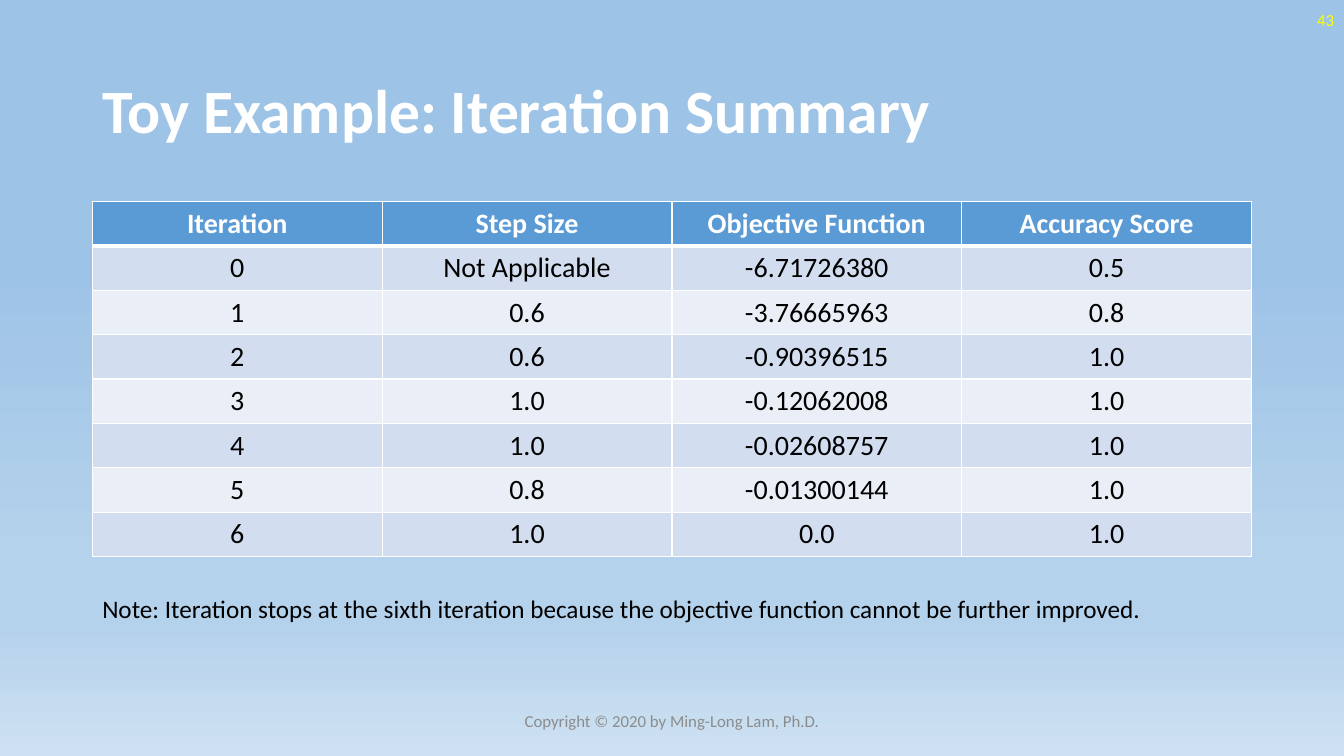
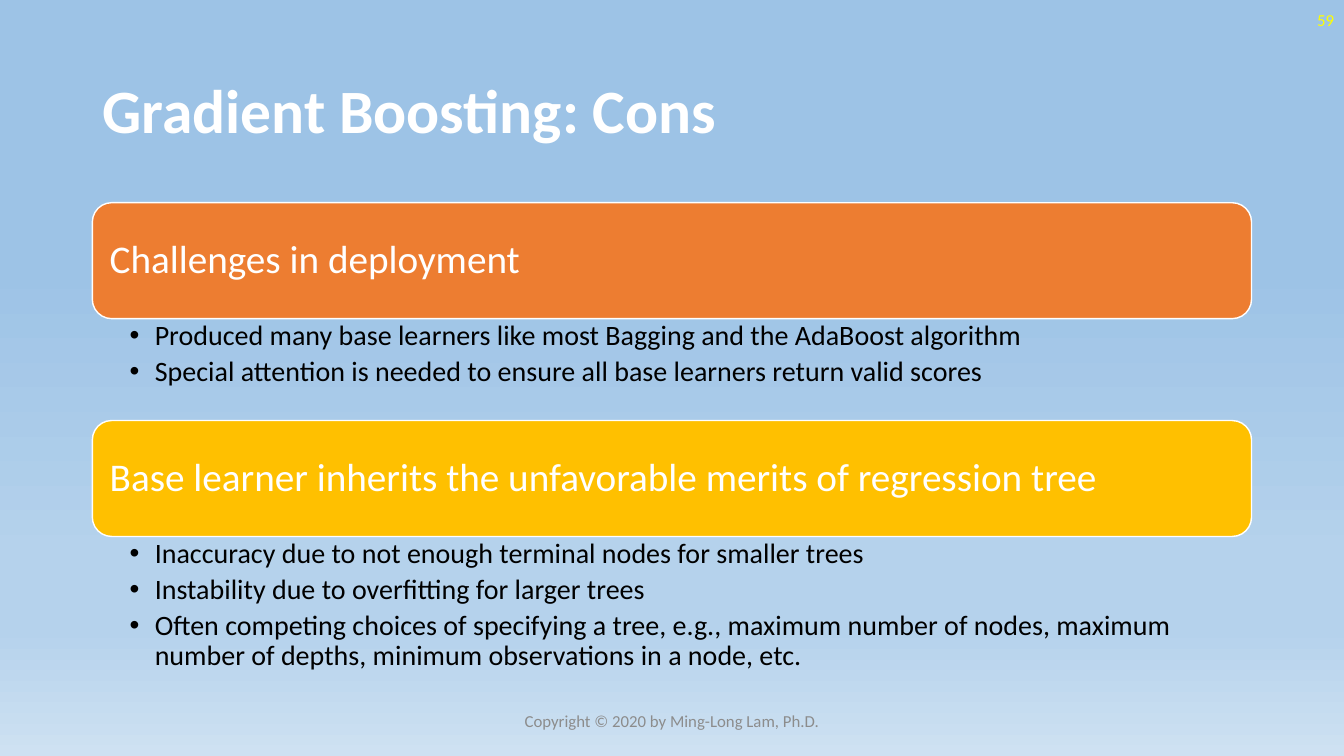
from dataclasses import dataclass

from lxml import etree
from pptx import Presentation
from pptx.dml.color import RGBColor
from pptx.enum import shapes, text
from pptx.oxml import ns
from pptx.util import Pt


@dataclass(frozen=True)
class Theme:
    font: str = "Calibri"
    white: str = "FFFFFF"
    black: str = "000000"
    number: str = "FFFF00"
    footer: str = "8C8C8C"
    header: str = "5B9BD5"
    bands: tuple = ("D2DEEF", "EAEFF7")
    orange: str = "ED7D31"
    gold: str = "FFC000"
    background: tuple = ((35, "9DC3E6"), (74, "B5D2EC"), (83, "B5D2EC"), (100, "CEE1F2"))
    title_size: int = 44
    heading_size: int = 28
    body_size: int = 20
    note_size: int = 18
    small_size: int = 12


theme = Theme()
LEFT, WIDTH = 66, 828
MIDDLE, TOP = text.MSO_ANCHOR.MIDDLE, text.MSO_ANCHOR.TOP
ALIGN = text.PP_ALIGN


def write(frame, *lines, size, color, bold=False, align=ALIGN.LEFT, anchor=MIDDLE,
          spacing=None, after=None, bullet=False, insets=(7.2, 3.6, 7.2, 3.6)):
    """Fill a text frame with one paragraph per line."""
    frame.word_wrap = True
    frame.vertical_anchor = anchor
    frame.margin_left, frame.margin_top, frame.margin_right, frame.margin_bottom = map(Pt, insets)
    for index, line in enumerate(lines):
        paragraph = frame.add_paragraph() if index else frame.paragraphs[0]
        if bullet:
            properties = paragraph._p.get_or_add_pPr()
            properties.set("marL", str(Pt(18)))
            properties.set("indent", str(-Pt(18)))
            etree.SubElement(properties, ns.qn("a:buFont"), typeface="Arial")
            etree.SubElement(properties, ns.qn("a:buChar"), char="•")
        paragraph.alignment = align
        if spacing:
            paragraph.line_spacing = spacing
        if after:
            paragraph.space_after = Pt(after)
        run = paragraph.add_run()
        run.text = line
        run.font.name, run.font.size, run.font.bold = theme.font, Pt(size), bold
        run.font.color.rgb = RGBColor.from_string(color)


def add_text(slide, left, top, width, height, *lines, **style):
    """Add a text box and write its lines."""
    box = slide.shapes.add_textbox(Pt(left), Pt(top), Pt(width), Pt(height))
    write(box.text_frame, *lines, **style)


presentation = Presentation()
presentation.slide_width, presentation.slide_height = Pt(960), Pt(540)

# Shared gradient background on the master
master = presentation.slide_master
fill = master.background.fill
fill.gradient()
fill.gradient_angle = 270
stops = master.element.find(".//" + ns.qn("a:gsLst"))
for stop in list(stops):
    stops.remove(stop)
for position, color in theme.background:
    stop = etree.SubElement(stops, ns.qn("a:gs"), pos=str(position * 1000))
    etree.SubElement(stop, ns.qn("a:srgbClr"), val=color)

# Both slides with title, number and footer
slides = []
for title, number in (("Toy Example: Iteration Summary", "43"), ("Gradient Boosting: Cons", "59")):
    slide = presentation.slides.add_slide(presentation.slide_layouts[6])
    add_text(slide, LEFT, 28.8, WIDTH, 104.4, title,
             size=theme.title_size, color=theme.white, bold=True, spacing=0.9)
    add_text(slide, 744, 0, 216, 28.8, number,
             size=theme.small_size, color=theme.number, align=ALIGN.RIGHT)
    add_text(slide, 318, 500.4, 324, 28.8, "Copyright © 2020 by Ming-Long Lam, Ph.D.",
             size=theme.small_size, color=theme.footer, align=ALIGN.CENTER)
    slides.append(slide)
summary_slide, cons_slide = slides

# Iteration table
rows = (
    ("Iteration", "Step Size", "Objective Function", "Accuracy Score"),
    ("0", "Not Applicable", "-6.71726380", "0.5"),
    ("1", "0.6", "-3.76665963", "0.8"),
    ("2", "0.6", "-0.90396515", "1.0"),
    ("3", "1.0", "-0.12062008", "1.0"),
    ("4", "1.0", "-0.02608757", "1.0"),
    ("5", "0.8", "-0.01300144", "1.0"),
    ("6", "1.0", "0.0", "1.0"),
)
table = summary_slide.shapes.add_table(
    len(rows), len(rows[0]), Pt(LEFT), Pt(144), Pt(WIDTH), Pt(31.7 * len(rows))).table
table.horz_banding = False
for row_index, row in enumerate(rows):
    is_header = row_index == 0
    row_fill = theme.header if is_header else theme.bands[(row_index - 1) % 2]
    for column_index, value in enumerate(row):
        cell = table.cell(row_index, column_index)
        write(cell.text_frame, value, size=theme.body_size, bold=is_header,
              color=theme.white if is_header else theme.black, align=ALIGN.CENTER)
        cell.vertical_anchor = MIDDLE
        cell.fill.solid()
        cell.fill.fore_color.rgb = RGBColor.from_string(row_fill)
        # White borders, heavier between header and body
        heavy_edge = {0: "lnB", 1: "lnT"}.get(row_index)
        for order, edge in enumerate(("lnL", "lnR", "lnT", "lnB")):
            line = etree.Element(ns.qn("a:" + edge), w=str(Pt(3 if edge == heavy_edge else 1)))
            solid = etree.SubElement(line, ns.qn("a:solidFill"))
            etree.SubElement(solid, ns.qn("a:srgbClr"), val=theme.white)
            cell._tc.get_or_add_tcPr().insert(order, line)

add_text(summary_slide, LEFT, 420.5, WIDTH, 28.8,
         "Note: Iteration stops at the sixth iteration because the objective function "
         "cannot be further improved.",
         size=theme.note_size, color=theme.black, anchor=TOP)

# Stacked headings, each followed by its bullets
sections = (
    ("Challenges in deployment", theme.orange, 72.8, (
        "Produced many base learners like most Bagging and the AdaBoost algorithm",
        "Special attention is needed to ensure all base learners return valid scores",
    )),
    ("Base learner inherits the unfavorable merits of regression tree", theme.gold, 103, (
        "Inaccuracy due to not enough terminal nodes for smaller trees",
        "Instability due to overfitting for larger trees",
        "Often competing choices of specifying a tree, e.g., maximum number of nodes, "
        "maximum number of depths, minimum observations in a node, etc.",
    )),
)
top, bar_height = 144.8, 82.8
for heading, color, list_height, bullets in sections:
    bar = cons_slide.shapes.add_shape(
        shapes.MSO_SHAPE.ROUNDED_RECTANGLE, Pt(LEFT), Pt(top), Pt(WIDTH), Pt(bar_height))
    bar.shadow.inherit = False
    bar.fill.solid()
    bar.fill.fore_color.rgb = RGBColor.from_string(color)
    bar.line.color.rgb = RGBColor.from_string(theme.white)
    bar.line.width = Pt(1)
    write(bar.text_frame, heading, size=theme.heading_size, color=theme.white,
          spacing=0.9, insets=(8.4,) * 4)
    top += bar_height
    add_text(cons_slide, LEFT, top, WIDTH, list_height, *bullets,
             size=theme.body_size, color=theme.black, anchor=TOP, spacing=0.9, after=4,
             bullet=True, insets=(26.6, 2.2, 11.5, 2.2))
    top += list_height

presentation.save("out.pptx")
